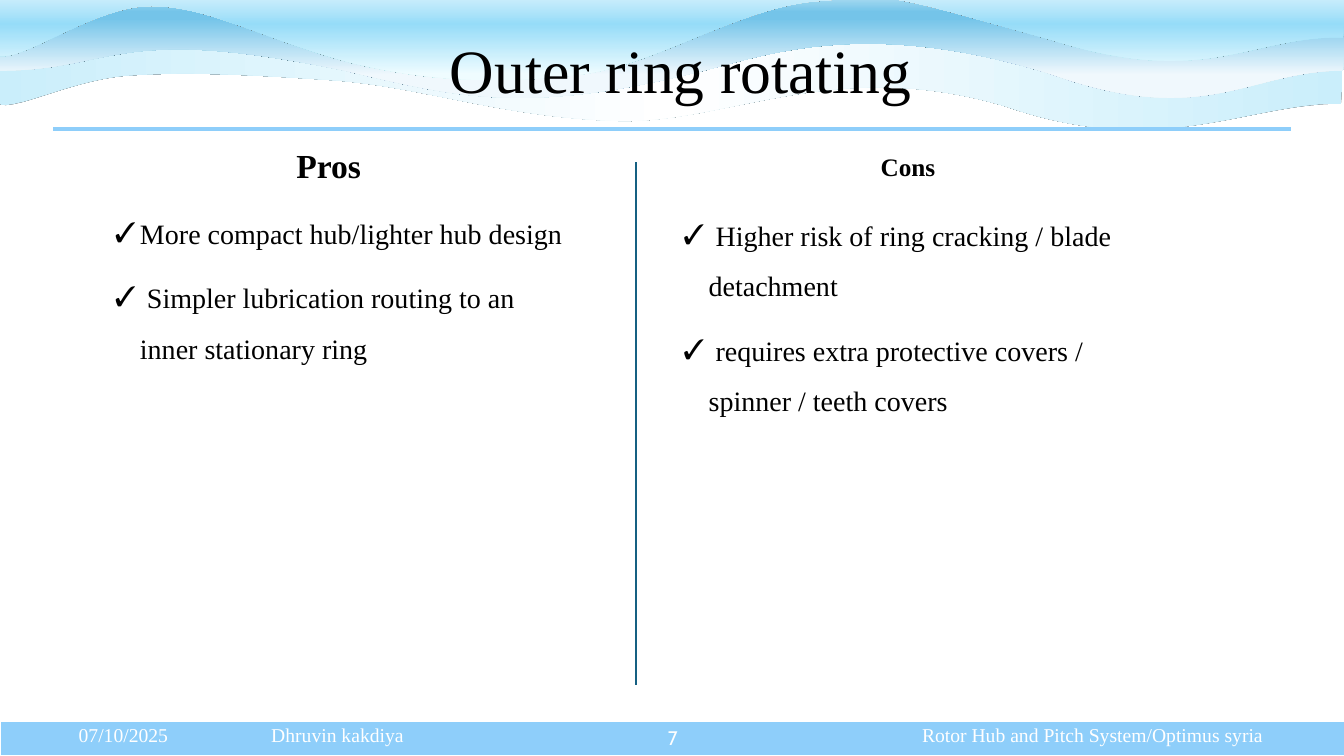
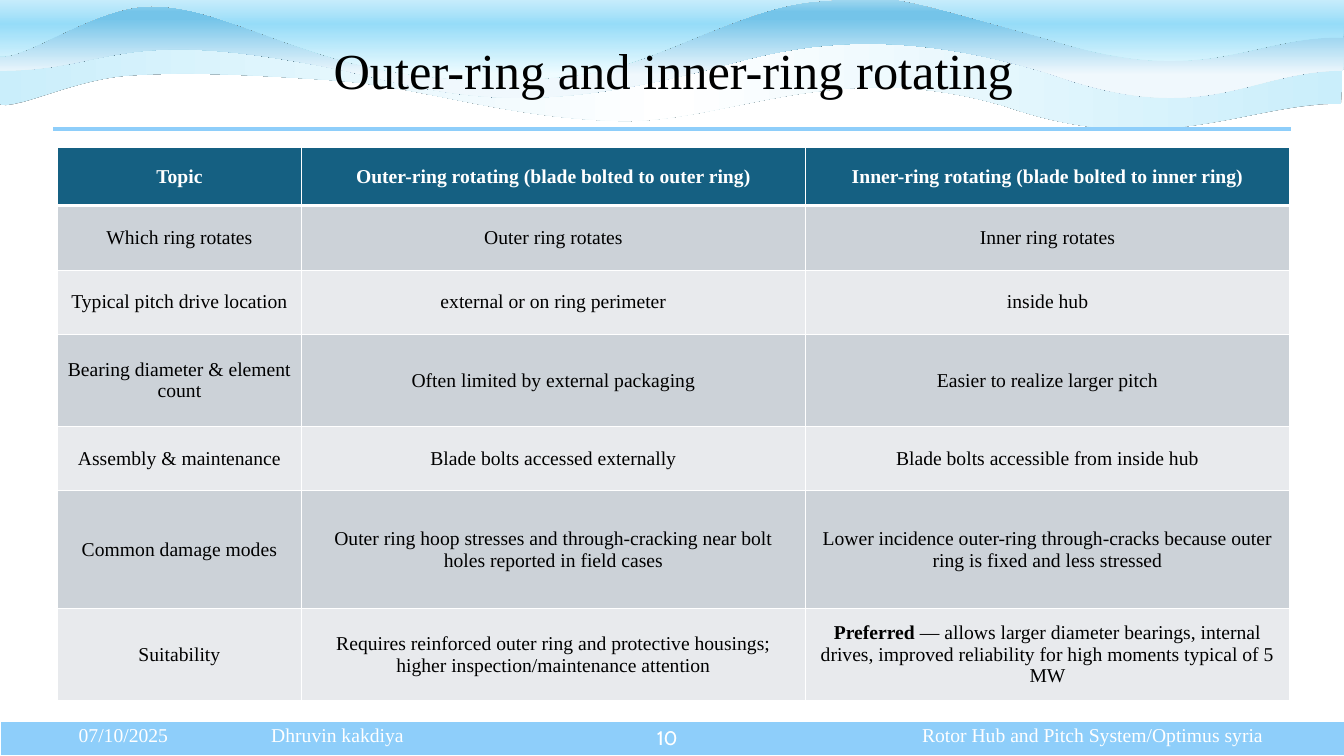
"""Build two slides comparing outer-ring and inner-ring rotating pitch bearings."""
from dataclasses import dataclass

from lxml import etree
from pptx import Presentation
from pptx.dml.color import RGBColor
from pptx.enum import shapes, text
from pptx.oxml import ns
from pptx.util import Inches, Pt


@dataclass(frozen=True)
class Theme:
    face: str = "Times New Roman"
    digit: str = "Cabin"
    ink: str = "000000"
    white: str = "FFFFFF"
    sky: str = "8ECEFA"
    deep: str = "156082"
    bands: tuple = ("CCD2D8", "E8EAED")
    small: int = 14
    body: int = 20


T = Theme()
hue = RGBColor.from_string
mid = text.MSO_ANCHOR.MIDDLE
left, center, right = text.PP_ALIGN.LEFT, text.PP_ALIGN.CENTER, text.PP_ALIGN.RIGHT

WAVES = [
    (0, [(0, "CAEEFB"), (50, "FFFFFF"), (100, "CAEEFB")], (13.3, 1.03),
     [(12.37, 1.02, 11.52, 1.59, 9.99, 1.06), (8.27, 0.54, 7.21, 1.24, 6.1, 1.2),
      (4.99, 1.16, 4.21, 0.87, 3.35, 0.8), (2.49, 0.74, 1.83, 0.71, 1.27, 0.75),
      (0.71, 0.79, 0.14, 1.11, -0.02, 1.03), (-0.02, 0.8, -0.04, 0.53, -0.04, 0.3),
      (3.13, 0.31), (6.52, 0.34), (9.41, 0.32), (13.32, 0.34),
      (13.32, 0.55, 13.32, 0.8, 13.3, 1.03)]),
    (270, [(0, "A2D8F0"), (17, "74C4E9"), (26, "74C4E9"), (100, "F0F8FD")], (13.32, 0.7),
     [(12.39, 0.7, 11.96, 1.28, 10.44, 0.74), (8.71, 0.2, 7.73, 0.5, 7.06, 0.68),
      (5.28, 1.14, 4.59, 0.98, 3.46, 0.71), (1.13, 0.22, 1.15, 0.7, 0, 0.7),
      (0, 0.47, 0.01, 0.24, 0.01, 0),
      (3.13, 0.01), (6.54, -0.01), (9.46, 0), (13.33, 0.04),
      (13.33, 0.26, 13.34, 0.47, 13.32, 0.7)]),
    (270, [(0, "FFFFFF"), (50, "96DCF8"), (100, "EFFCFF")], (13.32, 0.37),
     [(12.39, 0.36, 11.96, 0.88, 10.44, 0.4), (8.72, -0.08, 8.91, -0.05, 8.13, 0.01),
      (7.35, 0.06, 6.53, 0.64, 5.76, 0.74), (4.98, 0.84, 4.24, 0.81, 3.47, 0.62),
      (2.58, 0.38, 2.07, 0.06, 1.5, 0.06), (0.92, 0.06, 0.22, 0.63, -0.03, 0.55),
      (-0.02, 0.34, 0.01, -0.04, 0.01, -0.25),
      (3.13, -0.24), (6.54, -0.26), (9.46, -0.25), (13.33, -0.22),
      (13.33, -0.03, 13.34, 0.16, 13.32, 0.37)]),
]
RULE = (0.53, 1.28, 12.8, 1.28, T.sky, 3)
SPLIT = (6.31, 1.61, 6.31, 6.8, T.deep, 1.5)
PAGES = [
    ("7", " Outer ring rotating", 44, [RULE, SPLIT]),
    ("10", "Outer-ring and inner-ring rotating", 36, [RULE]),
]
SIDES = [
    ("Pros", 24, (1.83, 1.39, 2.86, 0.81), (1.04, 1.93),
     ["More compact hub/lighter hub design",
      " Simpler lubrication routing to an inner stationary ring"]),
    ("Cons", 18, (7.24, 1.45, 3.53, 0.4), (6.68, 1.95),
     [" Higher risk of ring cracking / blade detachment",
      " requires extra protective covers / spinner / teeth covers"]),
]
COLS = [2.42, 5, 4.8]
ROWS = [
    (0.58, ["Topic", "Outer-ring rotating (blade bolted to outer ring)",
            "Inner-ring rotating (blade bolted to inner ring)"]),
    (0.64, ["Which ring rotates", "Outer ring rotates", "Inner ring rotates"]),
    (0.64, ["Typical pitch drive location", "external or on ring perimeter", "inside hub"]),
    (0.91, ["Bearing diameter & element count", "Often limited by external packaging",
            "Easier to realize larger pitch"]),
    (0.64, ["Assembly & maintenance", "Blade bolts accessed externally",
            "Blade bolts accessible from inside hub"]),
    (1.17, ["Common damage modes",
            "Outer ring hoop stresses and through-cracking near bolt holes reported in field cases",
            "Lower incidence outer-ring through-cracks because outer ring is fixed and less stressed"]),
    (0.91, ["Suitability",
            "Requires reinforced outer ring and protective housings; "
            "higher inspection/maintenance attention",
            "Preferred — allows larger diameter bearings, internal drives, "
            "improved reliability for high moments typical of 5 MW"]),
]
STRONG = "Preferred"


def say(par, words, size, color=T.ink, bold=False, face=T.face, align=center):
    par.alignment = align
    run = par.add_run()
    run.text = words
    run.font.size, run.font.bold, run.font.name = Pt(size), bold, face
    run.font.color.rgb = hue(color)


def box(slide, *area):
    frame = slide.shapes.add_textbox(*map(Inches, area)).text_frame
    frame.word_wrap = True
    return frame


deck = Presentation()
deck.slide_width, deck.slide_height = Inches(13.33), Inches(7.5)

for number, title, size, lines in PAGES:
    slide = deck.slides.add_slide(deck.slide_layouts[6])

    for angle, stops, start, parts in WAVES:
        pen = slide.shapes.build_freeform(*map(Inches, start))
        pen.add_line_segments([tuple(map(Inches, part[-2:])) for part in parts])
        wave = pen.convert_to_shape()
        props = wave._element.spPr
        sides = list(props.iter(ns.qn("a:lnTo")))
        for side, part in zip(sides, parts):
            if len(part) == 2:
                continue
            curve = etree.Element(ns.qn("a:cubicBezTo"))
            for x, y in zip(part[::2], part[1::2]):
                etree.SubElement(curve, ns.qn("a:pt"), x=str(Inches(x) - wave.left),
                                 y=str(Inches(y) - wave.top))
            side.getparent().replace(side, curve)
        wave.line.fill.background()
        wave.fill.gradient()
        wave.fill.gradient_angle = angle
        ramp = props.find(".//" + ns.qn("a:gsLst"))
        for old in list(ramp):
            ramp.remove(old)
        for place, color in stops:
            stop = etree.SubElement(ramp, ns.qn("a:gs"), pos=str(place * 1000))
            etree.SubElement(stop, ns.qn("a:srgbClr"), val=color)
        wave.shadow.inherit = False
        shade = etree.SubElement(props.find(ns.qn("a:effectLst")), ns.qn("a:outerShdw"),
                                 blurRad="0", dist="0", dir="0")
        etree.SubElement(shade, ns.qn("a:srgbClr"), val=T.ink)

    bar = slide.shapes.add_shape(shapes.MSO_SHAPE.RECTANGLE, Inches(0), Inches(7.15),
                                 Inches(13.35), Inches(0.35))
    bar.shadow.inherit = False
    bar.fill.solid()
    bar.fill.fore_color.rgb = hue(T.sky)
    bar.line.color.rgb, bar.line.width = hue(T.white), Pt(1.5)
    foot = bar.text_frame
    foot.vertical_anchor = mid
    foot.margin_left, foot.margin_right = Inches(0.78), Inches(0.5)
    foot.margin_top, foot.margin_bottom = Inches(0), Inches(0.07)
    par = foot.paragraphs[0]
    tabs = etree.SubElement(par._p.get_or_add_pPr(), ns.qn("a:tabLst"))
    for place, kind in [(1.91, "l"), (11.75, "r")]:
        etree.SubElement(tabs, ns.qn("a:tab"), pos=str(Inches(place)), algn=kind)
    say(par, "07/10/2025\tDhruvin kakdiya\tRotor Hub and Pitch System/Optimus syria",
        T.small, T.white, align=left)

    page = box(slide, 6.34, 7.12, 0.48, 0.4)
    page.vertical_anchor = mid
    say(page.paragraphs[0], number, T.small, T.white, face=T.digit, align=right)

    for *ends, color, width in lines:
        line = slide.shapes.add_connector(shapes.MSO_CONNECTOR.STRAIGHT, *map(Inches, ends))
        line.line.color.rgb, line.line.width = hue(color), Pt(width)
        etree.SubElement(line._element.spPr, ns.qn("a:effectLst"))

    head = box(slide, 0.93, 0, 11.5, 1.45)
    head.vertical_anchor = mid
    head.paragraphs[0].line_spacing = 0.9
    say(head.paragraphs[0], title, size)

first, second = deck.slides

for label, size, area, spot, points in SIDES:
    say(box(first, *area).paragraphs[0], label, size, bold=True)
    frame = box(first, *spot, 4.66, 4.65)
    for rank, point in enumerate(points):
        par = frame.add_paragraph() if rank else frame.paragraphs[0]
        par.line_spacing = 1.5
        if rank:
            par.space_before = Pt(10)
        props = par._p.get_or_add_pPr()
        props.set("marL", str(Inches(0.25)))
        props.set("indent", str(-Inches(0.25)))
        etree.SubElement(props, ns.qn("a:buFont"), typeface=T.face)
        etree.SubElement(props, ns.qn("a:buChar"), char="✓")
        say(par, point, T.body, align=left)

high = sum(tall for tall, _ in ROWS)
grid = second.shapes.add_table(len(ROWS), len(COLS), Inches(0.57), Inches(1.46),
                               Inches(sum(COLS)), Inches(high)).table
for col, wide in zip(grid.columns, COLS):
    col.width = Inches(wide)
for r, (tall, words) in enumerate(ROWS):
    grid.rows[r].height = Inches(tall)
    for c, word in enumerate(words):
        cell = grid.cell(r, c)
        cell.vertical_anchor = mid
        props = cell._tc.get_or_add_tcPr()
        for side in "LRTB":
            thick = 3 if (r, side) in [(0, "B"), (1, "T")] else 1
            edge = etree.SubElement(props, ns.qn("a:ln" + side), w=str(Pt(thick)))
            paint = etree.SubElement(edge, ns.qn("a:solidFill"))
            etree.SubElement(paint, ns.qn("a:srgbClr"), val=T.white)
        cell.fill.solid()
        cell.fill.fore_color.rgb = hue(T.bands[(r - 1) % 2] if r else T.deep)
        par = cell.text_frame.paragraphs[0]
        if word.startswith(STRONG):
            say(par, STRONG, T.small, bold=True)
            word = word[len(STRONG):]
        say(par, word, T.small, T.ink if r else T.white, bold=r == 0)

deck.save("out.pptx")
